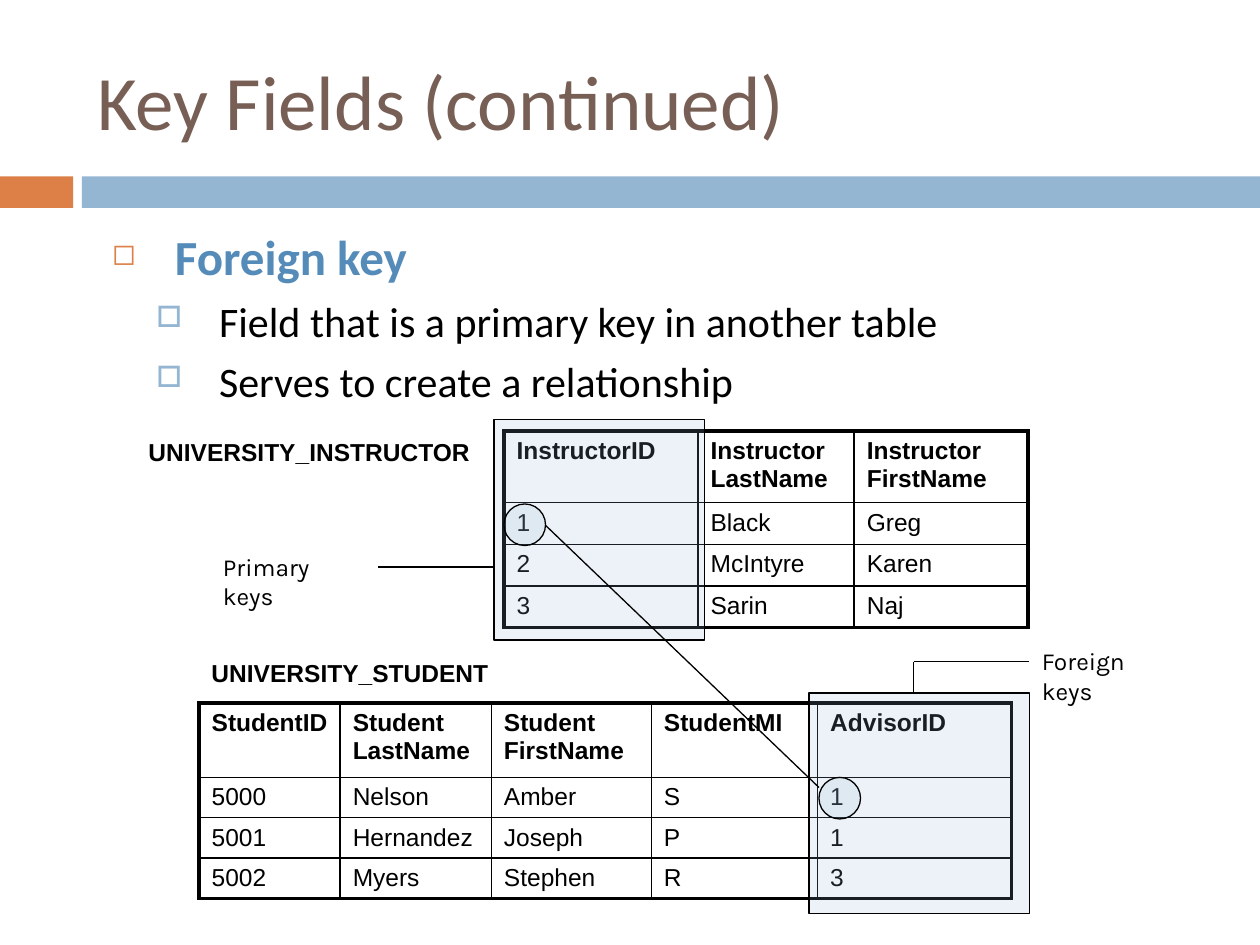
from dataclasses import dataclass
from typing import Optional

from pptx import Presentation
from pptx.dml.color import RGBColor
from pptx.enum.shapes import MSO_CONNECTOR, MSO_SHAPE
from pptx.enum.text import MSO_ANCHOR, PP_ALIGN
from pptx.oxml.ns import qn
from pptx.util import Inches, Pt
from lxml.etree import SubElement

ORANGE = RGBColor(0xDD, 0x80, 0x47)
BLUE = RGBColor(0x94, 0xB6, 0xD2)
KEY_BLUE = RGBColor(0x55, 0x8B, 0xB8)
BROWN = RGBColor(0x77, 0x5F, 0x55)
BLACK = RGBColor(0, 0, 0)
WHITE = RGBColor(0xFF, 0xFF, 0xFF)
THIN, THICK = 1, 2.25


@dataclass
class Bullet:
    text: str
    level: int
    indent: float
    before: float
    mark: str
    mark_color: RGBColor
    mark_size: int
    font: dict


@dataclass
class Label:
    text: str
    left: float
    top: float
    width: float
    font: dict
    right_inset: float = 0.1


@dataclass
class Grid:
    left: float
    top: float
    cols: list
    header_height: float
    row_height: float
    rows: list
    fill: Optional[RGBColor] = None


def set_font(font, values: dict) -> None:
    for name, value in values.items():
        if name == "color":
            font.color.rgb = value
        else:
            setattr(font, name, value)


def add_bullet(p, b: Bullet) -> None:
    p.level = b.level
    p.space_before = Pt(b.before)
    pPr = p._p.get_or_add_pPr()
    pPr.set("marL", str(Inches(b.indent)))
    pPr.set("indent", str(Inches(-0.5)))
    color = SubElement(pPr, qn("a:buClr"))
    SubElement(color, qn("a:srgbClr"), val=str(b.mark_color))
    SubElement(pPr, qn("a:buSzPct"), val=str(b.mark_size * 1000))
    SubElement(pPr, qn("a:buChar"), char=b.mark)
    r = p.add_run()
    r.text = b.text
    set_font(r.font, b.font)


def add_label(shapes, label: Label) -> None:
    tf = shapes.add_textbox(Inches(label.left), Inches(label.top),
                            Inches(label.width), Inches(0.34)).text_frame
    tf.word_wrap = True
    tf.margin_right = Inches(label.right_inset)
    r = tf.paragraphs[0].add_run()
    r.text = label.text
    set_font(r.font, label.font)


def add_figure(shapes, kind, box: tuple, color: RGBColor, alpha: Optional[int] = None) -> None:
    sp = shapes.add_shape(kind, *map(Inches, box))
    sp.shadow.inherit = False
    sp.fill.solid()
    sp.fill.fore_color.rgb = color
    if alpha is None:
        sp.line.fill.background()
        return
    sp.line.color.rgb = BLACK
    sp.line.width = Pt(0.75)
    clr = sp._element.spPr.find(qn("a:solidFill")).find(qn("a:srgbClr"))
    SubElement(clr, qn("a:alpha"), val=str(alpha * 1000))


def add_line(shapes, ends: tuple) -> None:
    line = shapes.add_connector(MSO_CONNECTOR.STRAIGHT, *map(Inches, ends))
    line.line.color.rgb = BLACK
    line.line.width = Pt(0.75)
    SubElement(line._element.spPr, qn("a:effectLst"))


def add_border(cell, side: str, width: float) -> None:
    ln = SubElement(cell._tc.get_or_add_tcPr(), qn(f"a:ln{side}"), w=str(Pt(width)))
    SubElement(SubElement(ln, qn("a:solidFill")), qn("a:srgbClr"), val=str(BLACK))


def add_grid(shapes, g: Grid) -> None:
    heights = [g.header_height] + [g.row_height] * (len(g.rows) - 1)
    table = shapes.add_table(len(heights), len(g.cols), Inches(g.left), Inches(g.top),
                             Inches(sum(g.cols)), Inches(sum(heights))).table
    table.first_row = table.horz_banding = False
    for column, width in zip(table.columns, g.cols):
        column.width = Inches(width)
    for row, height in zip(table.rows, heights):
        row.height = Inches(height)
    for i, texts in enumerate(g.rows):
        for j, text in enumerate(texts):
            cell = table.cell(i, j)
            cell.text = text
            # Narrow right and bottom insets keep each text on its line
            cell.margin_right = Inches(0.03)
            cell.margin_bottom = Inches(0.03)
            for p in cell.text_frame.paragraphs:
                set_font(p.runs[0].font, {**ARIAL, "bold": i == 0})
            # Thick lines only on the outer frame
            outer = {"L": j == 0, "R": j == len(g.cols) - 1,
                     "T": i == 0, "B": i == len(g.rows) - 1}
            for side, is_outer in outer.items():
                add_border(cell, side, THICK if is_outer else THIN)
            if g.fill is None:
                cell.fill.background()
            else:
                cell.fill.solid()
                cell.fill.fore_color.rgb = g.fill


ARIAL = {"name": "Arial", "size": Pt(14), "bold": True, "color": BLACK}
KARLA = {"name": "Karla", "size": Pt(14), "color": BLACK}
KEY_TERM = {"name": "Calibri", "size": Pt(28), "bold": True, "color": KEY_BLUE}
DETAIL = {"name": "Calibri", "size": Pt(24), "color": BLACK}

BULLETS = [
    Bullet("Foreign key", 0, 0.62, 7, "\u25fb", ORANGE, 60, KEY_TERM),
    *(Bullet(text, 1, 0.97, 5.5, "\u25a1", BLUE, 70, DETAIL)
      for text in ("Field that is a primary key in another table",
                   "Serves to create a relationship")),
]
STUDENTS = Grid(1.58, 5.58, [1.12, 1.2, 1.27, 1.32, 1.54], 0.59, 0.32, [
    ["StudentID", "Student\nLastName", "Student\nFirstName", "StudentMI", "AdvisorID"],
    ["5000", "Nelson", "Amber", "S", "1"],
    ["5001", "Hernandez", "Joseph", "P", "1"],
    ["5002", "Myers", "Stephen", "R", "3"],
], WHITE)
INSTRUCTORS = Grid(4, 3.42, [1.54, 1.24, 1.38], 0.57, 0.33, [
    ["InstructorID", "Instructor\nLastName", "Instructor\nFirstName"],
    ["1", "Black", "Greg"],
    ["2", "McIntyre", "Karen"],
    ["3", "Sarin", "Naj"],
])

prs = Presentation()
prs.slide_width, prs.slide_height = Inches(10), Inches(7.5)
slide = prs.slides.add_slide(prs.slide_layouts[5])
shapes = slide.shapes

# Title and band
title = shapes.title
title.left, title.top, title.width, title.height = map(Inches, (0.67, 0.25, 8.92, 1.08))
title.text_frame.text = "Key Fields (continued)"
title.text_frame.vertical_anchor = MSO_ANCHOR.MIDDLE
p = title.text_frame.paragraphs[0]
p.alignment = PP_ALIGN.LEFT
set_font(p.runs[0].font, {"name": "Calibri", "size": Pt(44), "color": BROWN})
add_figure(shapes, MSO_SHAPE.RECTANGLE, (0, 1.4, 0.58, 0.25), ORANGE)
add_figure(shapes, MSO_SHAPE.RECTANGLE, (0.65, 1.4, 9.35, 0.25), BLUE)

# Bullets
tf = shapes.add_textbox(*map(Inches, (0.67, 1.75, 8.92, 1.6))).text_frame
tf.word_wrap = True
for n, bullet in enumerate(BULLETS):
    add_bullet(tf.add_paragraph() if n else tf.paragraphs[0], bullet)

# Student table with its foreign key
add_grid(shapes, STUDENTS)
add_label(shapes, Label("UNIVERSITY_STUDENT", 1.58, 5.17, 2.42, ARIAL))
add_figure(shapes, MSO_SHAPE.RECTANGLE, (6.42, 5.5, 1.75, 1.75), BLUE, 17)
add_label(shapes, Label("Foreign keys", 8.17, 5.08, 1.29, KARLA, 0.3))

# Instructor table with its primary key
add_grid(shapes, INSTRUCTORS)
add_label(shapes, Label("UNIVERSITY_INSTRUCTOR", 1.08, 3.42, 2.77, ARIAL, 0))
add_figure(shapes, MSO_SHAPE.RECTANGLE, (3.92, 3.33, 1.67, 1.75), BLUE, 17)
add_label(shapes, Label("Primary keys", 1.67, 4.33, 1.31, KARLA, 0.3))

# Matching values and connecting lines
for left, top in ((4, 4), (6.5, 6.17)):
    add_figure(shapes, MSO_SHAPE.OVAL, (left, top, 0.33, 0.33), BLUE, 14)
for ends in ((7.25, 5.5, 7.25, 5.25), (7.25, 5.25, 8.17, 5.25),
             (4.33, 4.17, 6.5, 6.25), (3, 4.5, 3.92, 4.5)):
    add_line(shapes, ends)

prs.save("out.pptx")
